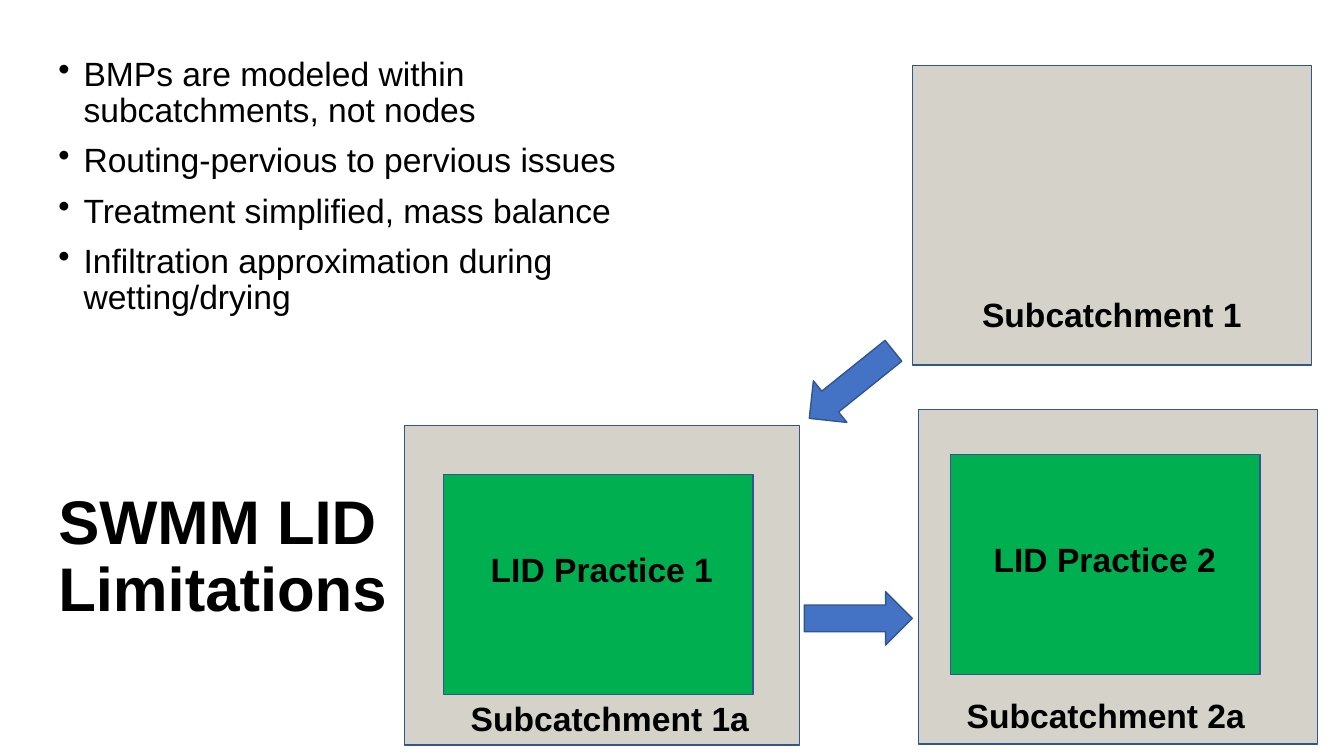
import pptx
import pptx.util
from lxml import etree
from pptx.dml.color import RGBColor
from pptx.enum.shapes import MSO_SHAPE
from pptx.enum.text import MSO_ANCHOR, PP_ALIGN
from pptx.oxml.ns import qn

WIDTH, HEIGHT = pptx.util.Inches(13.33), pptx.util.Inches(7.5)
LAND, PRACTICE, ARROW, OUTLINE = "D5D3C9", "00B050", "4472C4", "325491"
PRACTICE_SIZE = (23.03, 29.07)
ARROW_SIZE = (8.03, 7.07)
LABEL_HEIGHT = 6.67
POINTS = [
    "BMPs are modeled within subcatchments, not nodes",
    "Routing-pervious to pervious issues",
    "Treatment simplified, mass balance",
    "Infiltration approximation during wetting/drying",
]


def color(hex_code):
    return RGBColor.from_string(hex_code)


def place(x, y, w, h):
    """Turn percentages of the slide's width and height into lengths."""
    return (int(WIDTH * x / 100), int(HEIGHT * y / 100),
            int(WIDTH * w / 100), int(HEIGHT * h / 100))


def set_font(p, size, bold):
    p.font.name = "Arial"
    p.font.size = pptx.util.Pt(size)
    p.font.bold = bold
    p.font.color.rgb = color("000000")


def add_text(s, box, text, size=24, bold=True):
    tf = s.shapes.add_textbox(*place(*box)).text_frame
    tf.word_wrap = True
    tf.text = text
    for p in tf.paragraphs:
        set_font(p, size, bold)
    return tf


def add_label(s, x, y, w, text):
    tf = add_text(s, (x, y, w, LABEL_HEIGHT), text)
    tf.paragraphs[0].alignment = PP_ALIGN.CENTER


def add_block(s, kind, box, fill):
    sp = s.shapes.add_shape(kind, *place(*box))
    sp.shadow.inherit = False
    sp.fill.solid()
    sp.fill.fore_color.rgb = color(fill)
    sp.line.color.rgb = color(OUTLINE)
    sp.line.width = pptx.util.Pt(1)
    return sp


def add_title(s, box, text):
    tf = add_text(s, box, text, size=44)
    tf.vertical_anchor = MSO_ANCHOR.MIDDLE
    tf.paragraphs[0].line_spacing = 0.9


def add_bullets(s, box, points):
    tf = add_text(s, box, "\n".join(points), bold=False)
    indent = pptx.util.Inches(0.25)
    for i, p in enumerate(tf.paragraphs):
        p.line_spacing = 0.9
        p.space_before = pptx.util.Pt(10 if i else 0)
        pPr = p._p.get_or_add_pPr()
        pPr.set("marL", str(indent))
        pPr.set("indent", str(-indent))
        bullet = etree.Element(qn("a:buChar"), char="•")
        pPr.find(qn("a:defRPr")).addprevious(bullet)


def add_practice(s, x, y, name, name_at):
    add_block(s, MSO_SHAPE.RECTANGLE, (x, y, *PRACTICE_SIZE), PRACTICE)
    add_label(s, x + name_at[0], y + name_at[1], 19.05, name)


def add_subcatchment(s, box, name, name_at, practice=None):
    """Draw a subcatchment; name_at and the practice are offsets in its box."""
    x, y = box[:2]
    add_block(s, MSO_SHAPE.RECTANGLE, box, LAND)
    if practice:
        dx, dy, practice_name, practice_name_at = practice
        add_practice(s, x + dx, y + dy, practice_name, practice_name_at)
    add_label(s, x + name_at[0], y + name_at[1], 24, name)


def add_flow_arrow(s, x, y, rotation=0):
    sp = add_block(s, MSO_SHAPE.RIGHT_ARROW, (x, y, *ARROW_SIZE), ARROW)
    sp.rotation = rotation


def main():
    prs = pptx.Presentation()
    prs.slide_width, prs.slide_height = WIDTH, HEIGHT
    s = prs.slides.add_slide(prs.slide_layouts[6])
    add_title(s, (3.6, 63.6, 26.63, 20.4), "SWMM LID Limitations")
    add_bullets(s, (3.6, 6.93, 44.4, 41.33), POINTS)
    add_subcatchment(s, (68.33, 54.13, 29.7, 44.27), "Subcatchment 2a", (1.95, 37.07),
                     (2.4, 6, "LID Practice 2", (1.95, 10.53)))
    add_subcatchment(s, (30.08, 56.27, 29.4, 42.27), "Subcatchment 1a", (3.3, 35.33),
                     (2.93, 6.53, "LID Practice 1", (2.25, 9.2)))
    add_subcatchment(s, (67.88, 8.67, 29.7, 39.6), "Subcatchment 1", (2.85, 29.6))
    add_flow_arrow(s, 59.85, 78.27)
    add_flow_arrow(s, 59.33, 47.33, rotation=141.2)
    prs.save("out.pptx")


if __name__ == "__main__":
    main()
